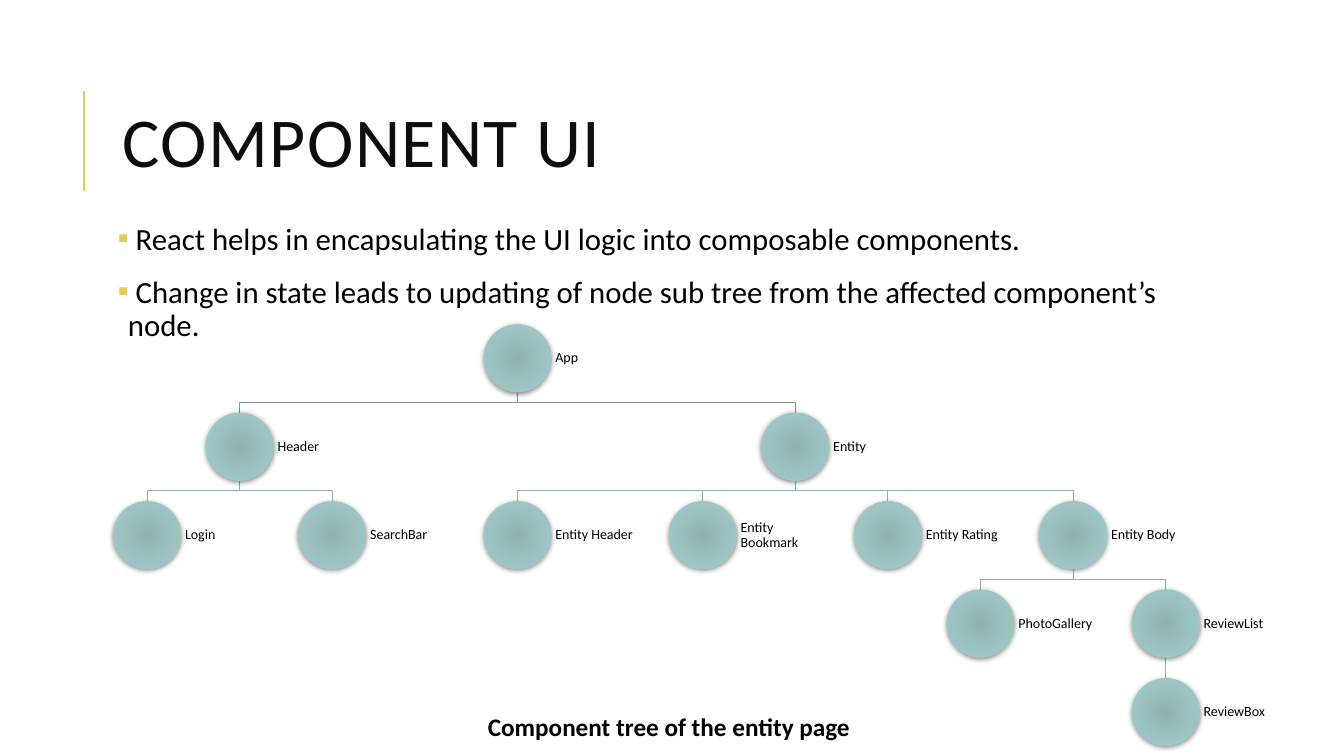
from dataclasses import dataclass
from typing import Any, Optional

from lxml.etree import SubElement
from pptx import Presentation
from pptx.dml.color import RGBColor
from pptx.enum.shapes import MSO_CONNECTOR, MSO_SHAPE
from pptx.enum.text import MSO_ANCHOR, MSO_AUTO_SIZE
from pptx.oxml.ns import qn
from pptx.util import Inches, Pt

WIDE, HIGH = Inches(13.33), Inches(7.5)
FONT = "Calibri"
BLACK = RGBColor(0x00, 0x00, 0x00)
INK = RGBColor(0x0D, 0x0D, 0x0D)
GOLD = RGBColor(0xE3, 0xCC, 0x5A)
CORE = RGBColor(0x92, 0xB2, 0xB1)
RIM = RGBColor(0xA3, 0xCE, 0xCC)
ROOT_LINE = RGBColor(0x7E, 0x99, 0x98)
LINE = RGBColor(0x8E, 0xAD, 0xAC)


def across(share: float) -> int:
    """Length of a percentage of the slide's width."""
    return round(WIDE * share / 100)


def down(share: float) -> int:
    """Length of a percentage of the slide's height."""
    return round(HIGH * share / 100)


# Tree grid: centre of the first column, top of the first row, and steps.
LEFT, STEP = across(10.95), across(6.89)
TOP, DROP = down(42.93), down(11.7)
DOT, LABEL = across(5.03), across(7.5)


@dataclass(frozen=True)
class Node:
    name: str
    col: int
    row: int
    up: Optional[str] = None

    @property
    def mid(self) -> int:
        return LEFT + self.col * STEP

    @property
    def top(self) -> int:
        return TOP + self.row * DROP

    @property
    def foot(self) -> int:
        return self.top + DOT


NODES = [
    Node("App", 4, 0),
    Node("Header", 1, 1, "App"),
    Node("Entity", 7, 1, "App"),
    Node("Login", 0, 2, "Header"),
    Node("SearchBar", 2, 2, "Header"),
    Node("Entity Header", 4, 2, "Entity"),
    Node("Entity Bookmark", 6, 2, "Entity"),
    Node("Entity Rating", 8, 2, "Entity"),
    Node("Entity Body", 10, 2, "Entity"),
    Node("PhotoGallery", 9, 3, "Entity Body"),
    Node("ReviewList", 11, 3, "Entity Body"),
    Node("ReviewBox", 11, 4, "ReviewList"),
]
POINTS = [
    " React helps in encapsulating the UI logic into composable components.",
    " Change in state leads to updating of node sub tree from the affected component’s node.",
]
SIDES = ("margin_left", "margin_top", "margin_right", "margin_bottom")


def apply(target: Any, form: dict[str, Any]) -> None:
    for key, value in form.items():
        setattr(target, key, value)


def write(slide: Any, box: tuple[int, int, int, int], lines: list[str], size: int,
          color: RGBColor = BLACK, bold: bool = False,
          frame: Optional[dict[str, Any]] = None,
          para: Optional[dict[str, Any]] = None) -> Any:
    """Add a text box with one paragraph per line and return its frame."""
    text = slide.shapes.add_textbox(*box).text_frame
    apply(text, {"word_wrap": True} | (frame or {}))
    for i, line in enumerate(lines):
        item = text.add_paragraph() if i else text.paragraphs[0]
        apply(item, para or {})
        run = item.add_run()
        run.text = line
        apply(run.font, {"name": FONT, "size": Pt(size), "bold": bold})
        run.font.color.rgb = color
    return text


def bullet(item: Any) -> None:
    props = item._p.get_or_add_pPr()
    indent = Inches(0.1)
    props.set("marL", str(indent))
    props.set("indent", str(-indent))
    tint = SubElement(props, qn("a:buClr"))
    SubElement(tint, qn("a:srgbClr")).set("val", str(GOLD))
    SubElement(props, qn("a:buFont")).set("typeface", FONT)
    SubElement(props, qn("a:buChar")).set("char", "▪")


def stroke(line: Any, color: RGBColor, width: float) -> None:
    line.color.rgb = color
    line.width = Pt(width)


def rule(slide: Any, ends: tuple[int, int, int, int], color: RGBColor, width: float) -> None:
    """Draw a straight line without a shadow."""
    link = slide.shapes.add_connector(MSO_CONNECTOR.STRAIGHT, *ends)
    stroke(link.line, color, width)
    SubElement(link._element.spPr, qn("a:effectLst"))


def branch(slide: Any, up: Node, node: Node) -> None:
    """Link a node to its parent, with an elbow halfway if they are not in line."""
    color = LINE if up.row else ROOT_LINE
    if up.mid == node.mid:
        rule(slide, (up.mid, up.foot, node.mid, node.top), color, 0.75)
        return
    bend = (up.foot + node.top) // 2
    pen = slide.shapes.build_freeform(up.mid, up.foot)
    pen.add_line_segments(
        [(up.mid, bend), (node.mid, bend), (node.mid, node.top)], close=False)
    elbow = pen.convert_to_shape()
    elbow.shadow.inherit = False
    elbow.fill.background()
    stroke(elbow.line, color, 0.75)


def glow(dot: Any) -> None:
    """Give a dot its round gradient and soft shadow."""
    dot.fill.gradient()
    for stop, color in zip(dot.fill.gradient_stops, (CORE, RIM)):
        stop.color.rgb = color
    props = dot._element.spPr
    grad = props.find(qn("a:gradFill"))
    grad.remove(grad.find(qn("a:lin")))
    ring = SubElement(grad, qn("a:path"), {"path": "circle"})
    SubElement(ring, qn("a:fillToRect"), dict.fromkeys("ltrb", "100000"))
    dot.line.fill.background()
    dot.shadow.inherit = False
    cast = SubElement(props.find(qn("a:effectLst")), qn("a:outerShdw"), {
        "blurRad": str(Pt(4)), "dist": str(Pt(1)), "dir": "5400000", "rotWithShape": "0"})
    shade = SubElement(cast, qn("a:srgbClr"), {"val": str(BLACK)})
    SubElement(shade, qn("a:alpha"), {"val": "50000"})


def draw(slide: Any, node: Node) -> None:
    left = node.mid - DOT // 2
    glow(slide.shapes.add_shape(MSO_SHAPE.OVAL, left, node.top, DOT, DOT))
    write(slide, (left + DOT, node.top, LABEL, DOT), [node.name], 10,
          frame={"vertical_anchor": MSO_ANCHOR.MIDDLE} | dict.fromkeys(SIDES, Inches(0.04)),
          para={"line_spacing": 0.9})


def main() -> None:
    deck = Presentation()
    apply(deck, {"slide_width": WIDE, "slide_height": HIGH})
    slide = deck.slides.add_slide(deck.slide_layouts[6])

    rule(slide, (across(6.23), down(25.33), across(6.23), down(12)), GOLD, 1.5)
    title = write(slide, (across(8.4), down(8.53), across(79.74), down(21.87)),
                  ["COMPONENT UI"], 50, INK,
                  frame={"vertical_anchor": MSO_ANCHOR.MIDDLE}, para={"line_spacing": 0.8})
    title.paragraphs[0].runs[0].font._element.set("spc", "100")

    body = write(slide, (across(8.4), down(28.93), across(80.72), down(71)), POINTS, 22,
                 frame=dict.fromkeys(SIDES, Inches(0.05)),
                 para={"line_spacing": 0.9, "space_before": Pt(12), "space_after": Pt(2)})
    for item in body.paragraphs:
        bullet(item)

    named = {node.name: node for node in NODES}
    for node in NODES:
        if node.up:
            branch(slide, named[node.up], node)
    for node in NODES:
        draw(slide, node)

    write(slide, (across(35.56), down(93.47), across(32.26), down(5.33)),
          ["Component tree of the entity page"], 18, bold=True,
          frame={"word_wrap": False, "auto_size": MSO_AUTO_SIZE.SHAPE_TO_FIT_TEXT})
    deck.save("out.pptx")


if __name__ == "__main__":
    main()
